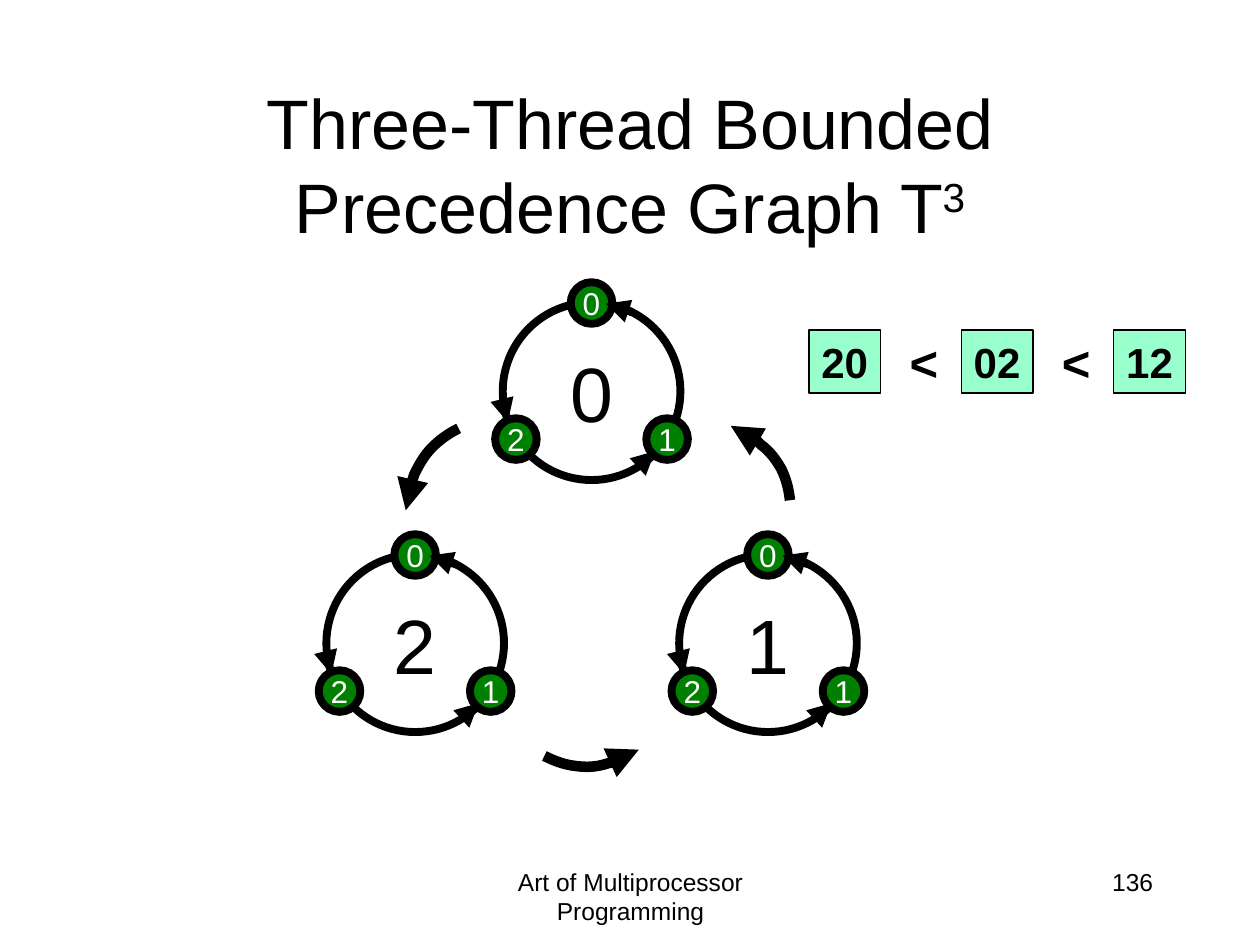
"""Build the slide on the three-thread bounded precedence graph."""
import lxml.etree
import pptx
import pptx.dml.color
import pptx.enum.shapes
import pptx.enum.text
import pptx.oxml.ns
import pptx.util

Inches = pptx.util.Inches
Pt = pptx.util.Pt
RGBColor = pptx.dml.color.RGBColor
ALIGN = pptx.enum.text.PP_ALIGN
ANCHOR = pptx.enum.text.MSO_ANCHOR
SHAPE = pptx.enum.shapes.MSO_SHAPE
qn = pptx.oxml.ns.qn
COLORS = {"ink": "000000", "paper": "FFFFFF", "node": "008000", "label": "99FFCC"}


def write(shape, text, size, color="ink", align=ALIGN.CENTER, anchor=ANCHOR.MIDDLE, bold=False, wrap=False):
    frame = shape.text_frame
    frame.word_wrap = wrap
    frame.vertical_anchor = anchor
    paragraph = frame.paragraphs[0]
    paragraph.text = text
    paragraph.alignment = align
    paragraph.font.name = "Arial"
    paragraph.font.size = Pt(size)
    paragraph.font.bold = bold
    paragraph.font.color.rgb = RGBColor.from_string(COLORS[color])
    return paragraph


def outline(shape, width, fill=None, arrow=False):
    shape.line.color.rgb = RGBColor.from_string(COLORS["ink"])
    shape.line.width = Pt(width)
    if fill:
        shape.fill.solid()
        shape.fill.fore_color.rgb = RGBColor.from_string(COLORS[fill])
    properties = shape._element.spPr
    if arrow:
        lxml.etree.SubElement(properties.find(qn("a:ln")), qn("a:tailEnd"), type="triangle")
    lxml.etree.SubElement(properties, qn("a:effectLst"))


presentation = pptx.Presentation()
presentation.slide_width = Inches(10)
presentation.slide_height = Inches(7.5)
slide = presentation.slides.add_slide(presentation.slide_layouts[6])
shapes = slide.shapes

footer = shapes.add_textbox(Inches(3.42), Inches(6.83), Inches(3.17), Inches(0.5))
write(footer, "Art of Multiprocessor Programming", 14, anchor=ANCHOR.TOP, wrap=True)
number = shapes.add_textbox(Inches(7.17), Inches(6.83), Inches(2.08), Inches(0.5))
write(number, "136", 14, align=ALIGN.RIGHT, anchor=ANCHOR.TOP, wrap=True)

title = shapes.add_textbox(Inches(0.75), Inches(0.67), Inches(8.5), Inches(1.25))
paragraph = write(title, "Three-Thread Bounded Precedence Graph T", 40, wrap=True)
exponent = paragraph.add_run()
exponent.text = "3"
exponent.font._element.set("baseline", "30000")

rings = [("2", 2.59, 4.4), ("1", 5.39, 4.4), ("0", 3.99, 2.4)]
nodes = [("0", 0.54, -0.16), ("1", 1.14, 0.92), ("2", -0.06, 0.92)]
arrows = [(0, 0.79, 0.04, 0.95), (1.09, 1.29, 1.21, 1.18), (1.03, 0.08, 0.82, 0.01)]
for ring_name, left, top in rings:
    ring = shapes.add_shape(SHAPE.OVAL, Inches(left), Inches(top), Inches(1.41), Inches(1.41))
    outline(ring, 4.5, "paper")
    write(ring, ring_name, 44)
    for node_name, x, y in nodes:
        node = shapes.add_shape(SHAPE.OVAL, Inches(left + x), Inches(top + y), Inches(0.33), Inches(0.33))
        outline(node, 4.5, "node")
        write(node, node_name, 18, "paper")
    for x1, y1, x2, y2 in arrows:
        arrow = shapes.add_connector(
            pptx.enum.shapes.MSO_CONNECTOR.STRAIGHT,
            Inches(left + x1), Inches(top + y1), Inches(left + x2), Inches(top + y2))
        outline(arrow, 4.5, arrow=True)

curves = [
    [(3.64, 3.4), (3.56, 3.44), (3.49, 3.49), (3.43, 3.55), (3.37, 3.61),
     (3.33, 3.68), (3.29, 3.76), (3.26, 3.85), (3.24, 3.95), (3.22, 4.05)],
    [(6.27, 3.97), (6.26, 3.88), (6.24, 3.8), (6.2, 3.72), (6.16, 3.65),
     (6.11, 3.58), (6.04, 3.53), (5.98, 3.47), (5.89, 3.43), (5.8, 3.38)],
    [(4.32, 6), (4.4, 6.04), (4.48, 6.07), (4.57, 6.08), (4.65, 6.09),
     (4.73, 6.09), (4.82, 6.06), (4.9, 6.04), (4.99, 5.99), (5.07, 5.95)],
]
for curve in curves:
    points = [(Inches(x), Inches(y)) for x, y in curve]
    builder = shapes.build_freeform(*points[0])
    builder.add_line_segments(points[1:], close=False)
    bend = builder.convert_to_shape()
    bend.fill.background()
    outline(bend, 6, arrow=True)
    segments = list(bend._element.iter(qn("a:lnTo")))
    outline_path = segments[0].getparent()
    for start in range(0, len(segments), 3):
        bezier = lxml.etree.SubElement(outline_path, qn("a:cubicBezTo"))
        for segment in segments[start:start + 3]:
            bezier.append(segment[0])
            outline_path.remove(segment)

for index, label in enumerate(["20", "02", "12"]):
    left = 6.42 + 1.21 * index
    box = shapes.add_shape(SHAPE.RECTANGLE, Inches(left), Inches(2.62), Inches(0.57), Inches(0.5))
    outline(box, 0.75, "label")
    write(box, label, 24, align=ALIGN.LEFT, anchor=ANCHOR.TOP, bold=True)
    if index < 2:
        sign = shapes.add_textbox(Inches(left + 0.7), Inches(2.59), Inches(0.42), Inches(0.57))
        write(sign, "<", 28, align=ALIGN.LEFT, anchor=ANCHOR.TOP, bold=True)

presentation.save("out.pptx")
